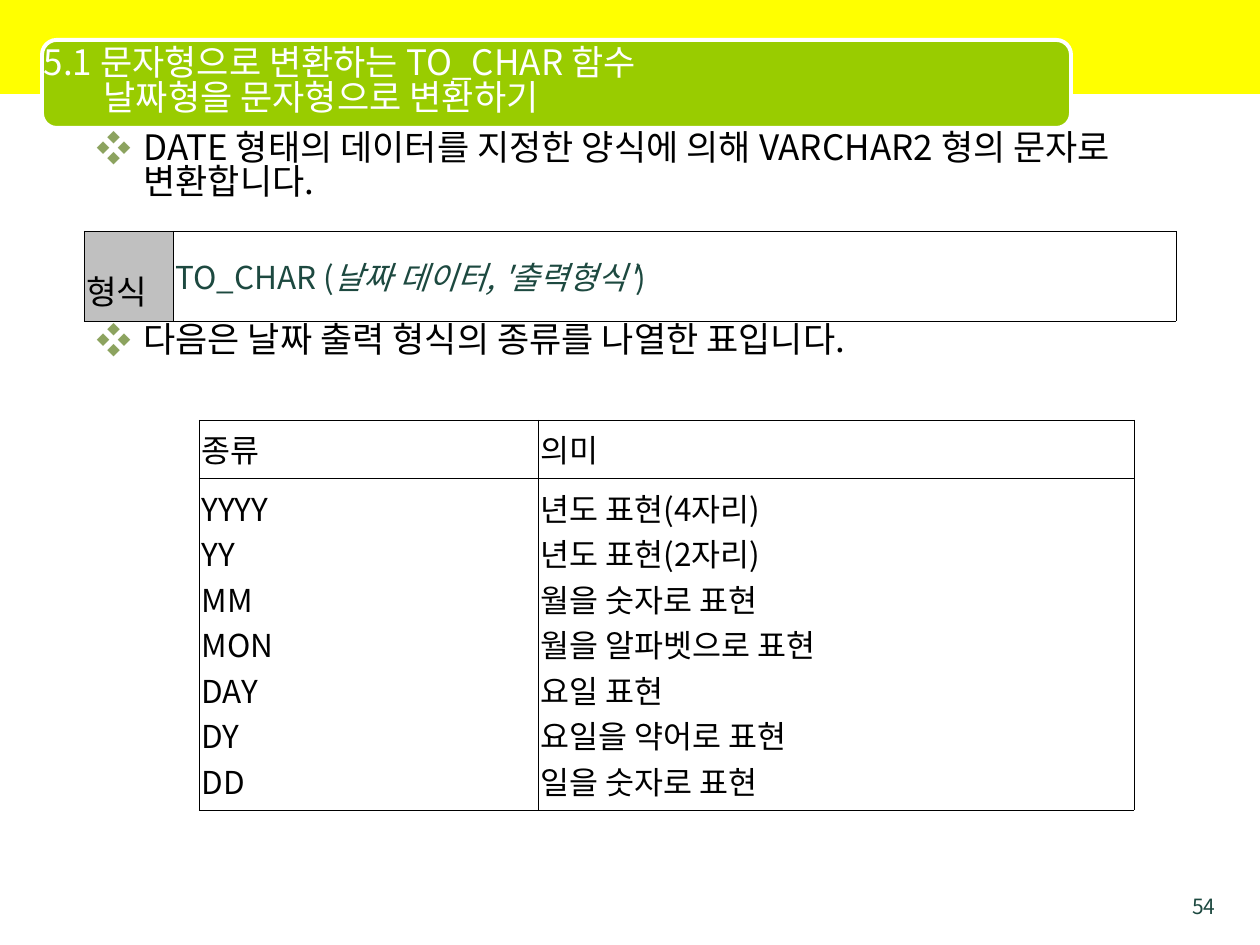
"""Build the slide on turning dates into text with TO_CHAR."""
from copy import deepcopy
from dataclasses import dataclass

from lxml import etree
from pptx import Presentation, util as u
from pptx.dml.color import RGBColor
from pptx.enum import shapes, text
from pptx.oxml import ns

FONT = "Noto Sans CJK KR"
EMU_PER_PX = 914400 / 126
COLORS = {
    "band": "FFFF00",
    "banner": "99CC00",
    "white": "FFFFFF",
    "ink": "000000",
    "syntax": "1D4940",
    "bullet": "8CA35F",
    "label": "C0C0C0",
}
TIGHT = 0.83
FORMATS = [
    ("YYYY", "년도 표현(4자리)"),
    ("YY", "년도 표현(2자리)"),
    ("MM", "월을 숫자로 표현"),
    ("MON", "월을 알파벳으로 표현"),
    ("DAY", "요일 표현"),
    ("DY", "요일을 약어로 표현"),
    ("DD", "일을 숫자로 표현"),
]


@dataclass(frozen=True)
class Box:
    left: int
    top: int
    width: int
    height: int

    def emu(self) -> tuple:
        return tuple(px(n) for n in (self.left, self.top, self.width, self.height))


@dataclass(frozen=True)
class Panel:
    preset: int
    box: Box
    fill: str
    line: float = 0


@dataclass(frozen=True)
class Point:
    words: str
    space_before: int


PANELS = [
    Panel(shapes.MSO_SHAPE.RECTANGLE, Box(0, 0, 1260, 94), "band"),
    Panel(shapes.MSO_SHAPE.ROUNDED_RECTANGLE, Box(42, 40, 1029, 88), "banner", 2.25),
]
POINTS = [
    Point("DATE 형태의 데이터를 지정한 양식에 의해 VARCHAR2 형의 문자로 변환합니다.", 0),
    Point("다음은 날짜 출력 형식의 종류를 나열한 표입니다.", 70),
]


def px(length: int) -> u.Emu:
    return u.Emu(round(length * EMU_PER_PX))


def rgb(name: str) -> RGBColor:
    return RGBColor.from_string(COLORS[name])


def add_node(parent, tag: str, **attributes: str):
    return etree.SubElement(parent, ns.qn(tag), attributes)


def write(paragraph, words: str, *, size=18, color="ink", italic=False,
          align=text.PP_ALIGN.LEFT, spacing=None) -> None:
    paragraph.alignment = align
    if spacing:
        paragraph.line_spacing = spacing
    for index, line in enumerate(words.split("\n")):
        if index:
            paragraph.add_line_break()
            paragraph._p[-1].append(deepcopy(run.font._element))
        run = paragraph.add_run()
        run.text = line
        run.font.name, run.font.size, run.font.italic = FONT, u.Pt(size), italic
        run.font.color.rgb = rgb(color)
        add_node(run.font._element, "a:ea", typeface=FONT)


def next_paragraph(frame, index: int):
    return frame.add_paragraph() if index else frame.paragraphs[0]


def hang(paragraph, indent: int) -> None:
    properties = paragraph._p.get_or_add_pPr()
    properties.set("marL", str(px(indent)))
    properties.set("indent", str(-px(indent)))


def add_panel(slide, panel: Panel) -> None:
    shape = slide.shapes.add_shape(panel.preset, *panel.box.emu())
    shape.shadow.inherit = False
    shape.fill.solid()
    shape.fill.fore_color.rgb = rgb(panel.fill)
    if panel.line:
        shape.line.color.rgb = rgb("white")
        shape.line.width = u.Pt(panel.line)
    else:
        shape.line.fill.background()


def set_title(slide) -> None:
    title = slide.shapes.title
    title.left, title.top, title.width, title.height = Box(31, 44, 1081, 78).emu()
    frame = title.text_frame
    frame.auto_size = text.MSO_AUTO_SIZE.NONE
    frame.vertical_anchor = text.MSO_ANCHOR.MIDDLE
    heading = frame.paragraphs[0]
    hang(heading, 60)
    write(heading, "5.1 문자형으로 변환하는 TO_CHAR 함수\n날짜형을 문자형으로 변환하기",
          size=20, color="white", spacing=TIGHT)
    slide.shapes._spTree.append(title._element)


def add_frame(slide, box: Box):
    frame = slide.shapes.add_textbox(*box.emu()).text_frame
    frame.word_wrap = True
    return frame


def add_points(slide) -> None:
    frame = add_frame(slide, Box(84, 126, 1144, 774))
    for index, point in enumerate(POINTS):
        paragraph = next_paragraph(frame, index)
        hang(paragraph, 47)
        paragraph.space_before = u.Pt(point.space_before)
        write(paragraph, point.words, size=20, spacing=TIGHT)
        properties = paragraph._p.pPr
        add_node(add_node(properties, "a:buClr"), "a:srgbClr", val=COLORS["bullet"])
        add_node(properties, "a:buFont", typeface=FONT)
        add_node(properties, "a:buChar", char="❖")


def style_cell(cell) -> None:
    cell.vertical_anchor = text.MSO_ANCHOR.MIDDLE
    cell.margin_left = cell.margin_right = u.Inches(0.02)
    cell.margin_top = cell.margin_bottom = u.Inches(0.05)
    properties = cell._tc.get_or_add_tcPr()
    for side in "LRTB":
        border = add_node(properties, f"a:ln{side}", w=str(u.Pt(0.11)))
        add_node(add_node(border, "a:solidFill"), "a:srgbClr", val=COLORS["ink"])
    cell.fill.background()


def add_grid(slide, left: int, top: int, columns: list[int], rows: list[int]):
    box = Box(left, top, sum(columns), sum(rows))
    table = slide.shapes.add_table(len(rows), len(columns), *box.emu()).table
    table.first_row = table.horz_banding = False
    for column, width in zip(table.columns, columns):
        column.width = px(width)
    for row, height in zip(table.rows, rows):
        row.height = px(height)
    for cell in table.iter_cells():
        style_cell(cell)
    return table


def add_syntax(slide) -> None:
    syntax = add_grid(slide, 84, 231, [89, 1003], [90])
    label, usage = syntax.cell(0, 0), syntax.cell(0, 1)
    label.fill.solid()
    label.fill.fore_color.rgb = rgb("label")
    write(label.text_frame.paragraphs[0], "형식", size=19,
          align=text.PP_ALIGN.JUSTIFY, spacing=1.6)
    for words, italic in (("TO_CHAR (", False), ("날짜 데이터, '출력형식'", True), (")", False)):
        write(usage.text_frame.paragraphs[0], words, color="syntax", italic=italic)


def add_formats(slide) -> None:
    formats = add_grid(slide, 199, 420, [339, 596], [58, 332])
    for column, (heading, entries) in enumerate(zip(("종류", "의미"), zip(*FORMATS))):
        for row, lines in enumerate(([heading], entries)):
            frame = formats.cell(row, column).text_frame
            for index, line in enumerate(lines):
                write(next_paragraph(frame, index), line, align=text.PP_ALIGN.JUSTIFY)


def main() -> None:
    deck = Presentation()
    deck.slide_width, deck.slide_height = px(1260), px(945)
    slide = deck.slides.add_slide(deck.slide_layouts[5])
    for panel in PANELS:
        add_panel(slide, panel)
    page_number = add_frame(slide, Box(1165, 887, 63, 27)).paragraphs[0]
    write(page_number, "54", size=12, color="syntax", align=text.PP_ALIGN.RIGHT)
    set_title(slide)
    add_points(slide)
    add_syntax(slide)
    add_formats(slide)
    deck.save("out.pptx")


if __name__ == "__main__":
    main()
